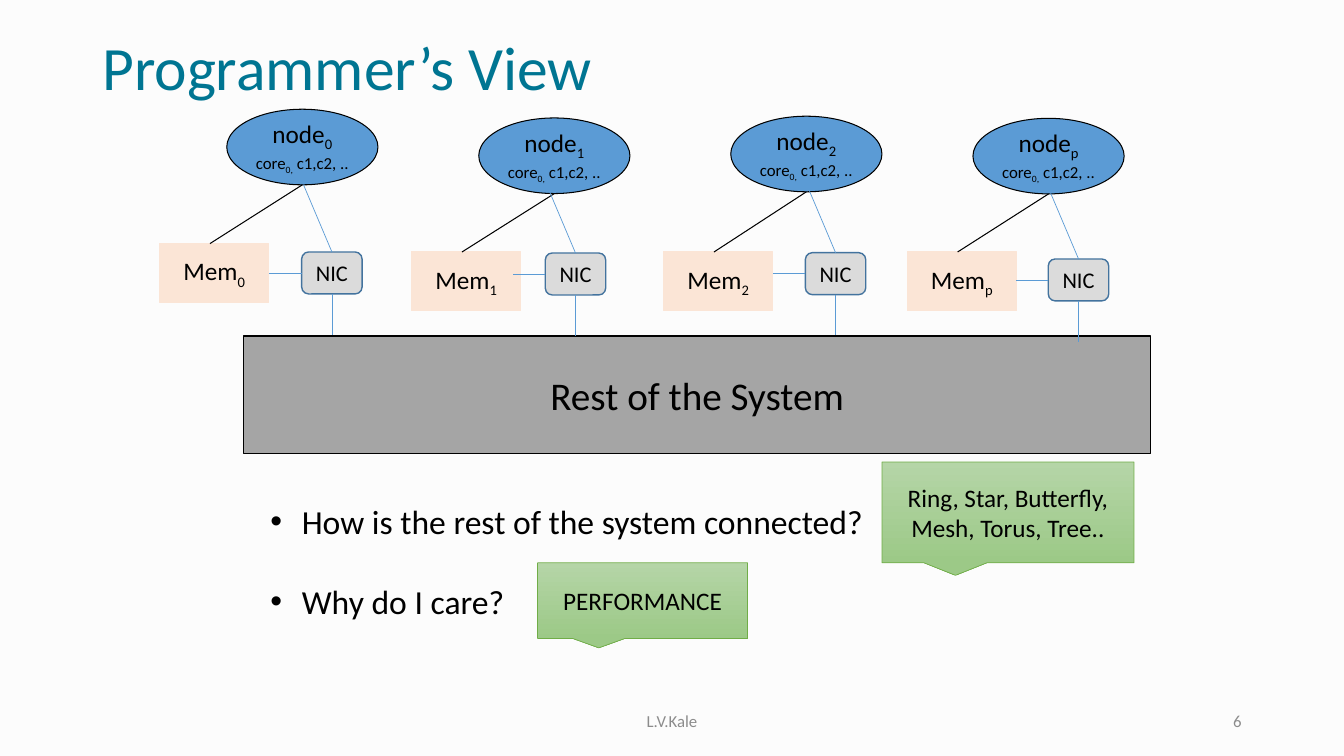
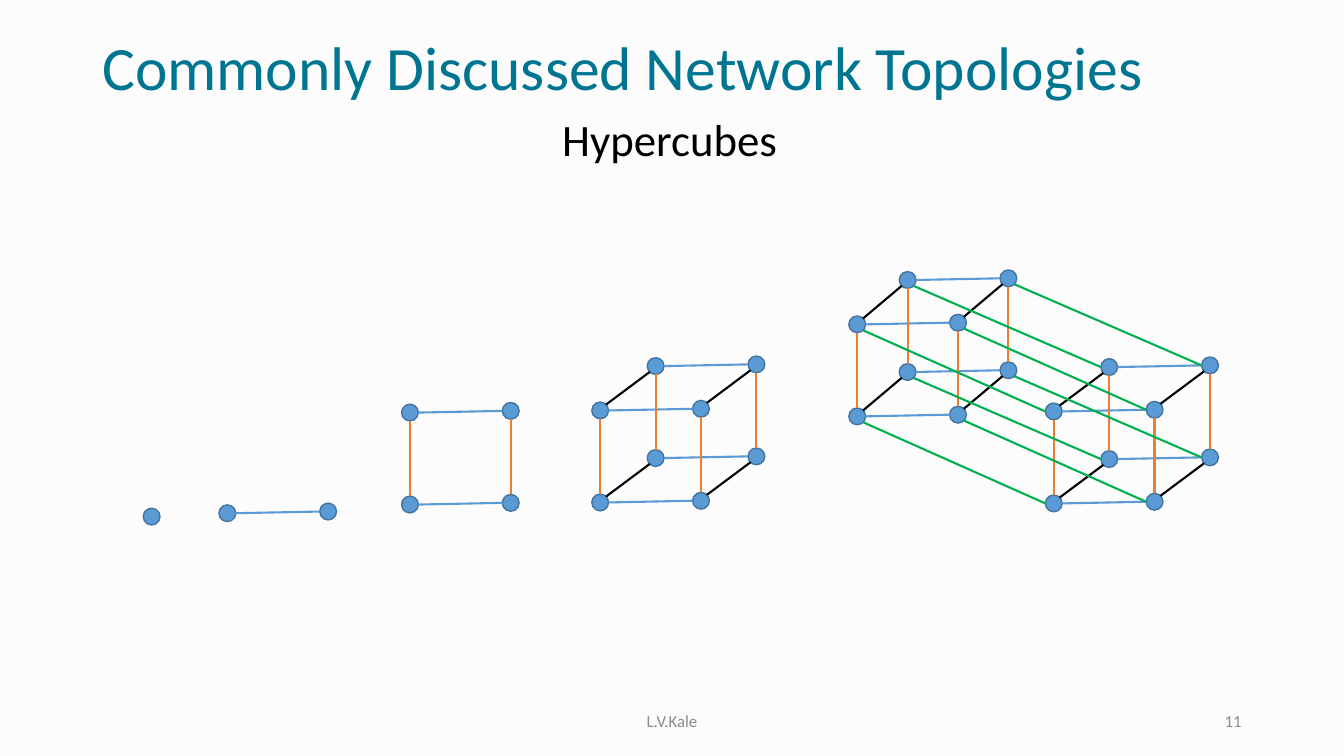
"""Build two lecture slides on the programmer's view and hypercube networks."""
from lxml import etree
from pptx import Presentation
from pptx.dml.color import RGBColor
from pptx.enum import shapes, text
from pptx.oxml import ns
from pptx.util import Pt

FONT = "Calibri"
PAPER = RGBColor(0xFC, 0xFC, 0xFC)
TEAL = RGBColor(0x00, 0x75, 0x92)
GREY = RGBColor(0x8C, 0x8C, 0x8C)
BLACK = RGBColor(0x00, 0x00, 0x00)
BLUE = RGBColor(0x5B, 0x9B, 0xD5)
NAVY = RGBColor(0x43, 0x73, 0x9E)
ORANGE = RGBColor(0xED, 0x7D, 0x31)
GREEN = RGBColor(0x00, 0xB0, 0x50)
PEACH = RGBColor(0xFB, 0xE5, 0xD6)
SILVER = RGBColor(0xDB, 0xDB, 0xDB)
BAND = RGBColor(0xA5, 0xA5, 0xA5)
LEAF = RGBColor(0x70, 0xAD, 0x47)
LEAF_LIGHT = RGBColor(0xB5, 0xD5, 0xA7)
LEAF_DARK = RGBColor(0x9C, 0xC9, 0x87)

KIND = shapes.MSO_SHAPE
LEFT, CENTER, RIGHT = text.PP_ALIGN.LEFT, text.PP_ALIGN.CENTER, text.PP_ALIGN.RIGHT
TOP, MIDDLE = text.MSO_ANCHOR.TOP, text.MSO_ANCHOR.MIDDLE

AUTHOR = "L.V.Kale"
CORES = [("core", False), ("0,", True), (" c1,c2, ..", False)]
NODE_SIZE, MEMORY_SIZE, NIC_SIZE = (108, 54), (78, 42), (43.2, 30)
COLUMNS = [
    ("0", (162, 78), (114, 174), (215.5, 180)),
    ("1", (342, 84.25), (294, 180), (389.5, 180.75)),
    ("2", (522, 83), (474, 180), (575.25, 180.5)),
    ("p", (695, 84.5), (648, 180), (748.8, 185)),
]
QUESTIONS = ["How is the rest of the system connected?", "Why do I care?"]
CALLOUTS = [
    ("Ring, Star, Butterfly, Mesh, Torus, Tree..", (630, 330, 180, 72)),
    ("PERFORMANCE", (384, 402, 150, 54)),
]

RADIUS = 6
DIAGONAL = 0.7 * RADIUS
AXES = [
    (BLUE, (72, -1.2), (RADIUS, 0), (-RADIUS, 0)),
    (ORANGE, (0, -65.7), (0, -RADIUS), (0, RADIUS)),
    (BLACK, (39.6, -31.7), (DIAGONAL, -DIAGONAL), (-DIAGONAL, DIAGONAL)),
]
SMALL_CUBES = [((108.3, 369), 0), ((162.4, 366.6), 1), ((292.8, 360.4), 2), ((428.7, 358.9), 3)]
RIGHT_CUBE, LEFT_CUBE = (752.7, 359.6), (612.3, 297.4)
LEFT_DEPTH = 36


def write(box, lines, size, color=BLACK, align=CENTER, anchor=MIDDLE, wrap=True):
    frame = box.text_frame
    frame.word_wrap = wrap
    frame.vertical_anchor = anchor
    for index, line in enumerate(lines):
        para = frame.paragraphs[0] if index == 0 else frame.add_paragraph()
        para.alignment = align
        para.font.name = FONT
        para.font.size = Pt(12 if line is CORES else size)
        para.font.color.rgb = color
        for words, lowered in [(line, False)] if isinstance(line, str) else line:
            span = para.add_run()
            span.text = words
            if lowered:
                span._r.get_or_add_rPr().set("baseline", "-25000")
    return frame


def add_text(page, place, lines, size, **style):
    return write(page.shapes.add_textbox(*map(Pt, place)), lines, size, **style)


def add_box(page, kind, place, fill, line, width=0.75):
    box = page.shapes.add_shape(kind, *map(Pt, place))
    box.shadow.inherit = False
    if isinstance(fill, RGBColor):
        box.fill.solid()
        box.fill.fore_color.rgb = fill
    else:
        box.fill.gradient()
        box.fill.gradient_angle = 270
        for stop, color in zip(box.fill.gradient_stops, fill):
            stop.color.rgb = color
    box.line.color.rgb = line
    box.line.width = Pt(width)
    return box


def add_line(page, start, end, color, width):
    line = page.shapes.add_connector(shapes.MSO_CONNECTOR.STRAIGHT, *map(Pt, (*start, *end)))
    line.line.color.rgb = color
    line.line.width = Pt(width)
    etree.SubElement(line._element.spPr, ns.qn("a:effectLst"))
    return line


def shift(point, step):
    return point[0] + step[0], point[1] + step[1]


def add_page(deck, title, number):
    page = deck.slides.add_slide(deck.slide_layouts[6])
    frame = add_text(page, (66, 20, 828, 60.5), [title], 44, color=TEAL, align=LEFT)
    frame.paragraphs[0].line_spacing = 0.9
    add_text(page, (318, 500.5, 324, 28.75), [AUTHOR], 12, color=GREY)
    add_text(page, (678, 500.5, 216, 28.75), [number], 12, color=GREY, align=RIGHT)
    return page


def add_column(page, label, node_at, memory_at, nic_at):
    node = add_box(page, KIND.OVAL, (*node_at, *NODE_SIZE), BLUE, BLACK)
    write(node, [[("node", False), (label, True)], CORES], 18, wrap=False)
    memory = add_box(page, KIND.RECTANGLE, (*memory_at, *MEMORY_SIZE), PEACH, PEACH)
    write(memory, [[("Mem", False), (label, True)]], 18, wrap=False)
    node_foot = shift(node_at, (NODE_SIZE[0] / 2, NODE_SIZE[1]))
    add_line(page, node_foot, shift(memory_at, (36, 0)), BLACK, 0.75)

    nic = add_box(page, KIND.ROUNDED_RECTANGLE, (*nic_at, *NIC_SIZE), SILVER, NAVY, 1)
    write(nic, ["NIC"], 16, wrap=False)
    width, height = NIC_SIZE
    links = [(0, (width / 2, 0), (-20.3, -48)), (1, (0, height / 2), (-23, 0)),
             (2, (width / 2, height), (0, 29))]
    for site, corner, reach in links:
        joint = shift(nic_at, corner)
        add_line(page, joint, shift(joint, reach), BLUE, 0.5).begin_connect(nic, site)


def add_programmer_view(deck):
    page = add_page(deck, "Programmer’s View", "6")
    band = add_box(page, KIND.RECTANGLE, (174, 240, 648, 84), BAND, BLACK)
    write(band, ["Rest of the System"], 28, wrap=False)

    frame = add_text(page, (186, 354, 588, 94), QUESTIONS, 24, align=LEFT, anchor=TOP)
    for para in frame.paragraphs:
        properties = para._p.get_or_add_pPr()
        properties.set("marL", str(Pt(22.5)))
        properties.set("indent", str(-Pt(22.5)))
        bullet_font = etree.Element(ns.qn("a:buFont"), typeface="Arial")
        bullet = etree.Element(ns.qn("a:buChar"), char="•")
        properties.find(ns.qn("a:defRPr")).addprevious(bullet_font)
        bullet_font.addnext(bullet)
    frame.paragraphs[1].space_before = Pt(28.8)

    for words, place in CALLOUTS:
        callout = add_box(page, KIND.RECTANGULAR_CALLOUT, place, (LEAF_LIGHT, LEAF_DARK), LEAF, 0.5)
        write(callout, [words], 18)
    for column in COLUMNS:
        add_column(page, *column)


def add_cube(page, origin, dimensions, depth=39.6):
    centers = [origin]
    steps = [step for _, step, _, _ in AXES]
    steps[2] = (depth, steps[2][1])
    for step in steps[:dimensions]:
        centers += [shift(center, step) for center in centers]
    for x, y in centers:
        place = (x - RADIUS, y - RADIUS, 2 * RADIUS, 2 * RADIUS)
        add_box(page, KIND.OVAL, place, BLUE, NAVY, 1)
    for axis, (color, _, leave, arrive) in enumerate(AXES[:dimensions]):
        for index, center in enumerate(centers):
            if not index & 1 << axis:
                neighbour = centers[index | 1 << axis]
                add_line(page, shift(center, leave), shift(neighbour, arrive), color, 1.5)
    return centers


def add_hypercubes(deck):
    page = add_page(deck, "Commonly Discussed Network Topologies", "11")
    add_text(page, (394.5, 76.5, 171.5, 46), ["Hypercubes"], 32, align=LEFT, anchor=TOP)
    for origin, dimensions in SMALL_CUBES:
        add_cube(page, origin, dimensions)
    right = add_cube(page, RIGHT_CUBE, 3)
    left = add_cube(page, LEFT_CUBE, 3, LEFT_DEPTH)
    for start, end in zip(left, right):
        add_line(page, shift(start, (DIAGONAL, DIAGONAL)), shift(end, (-RADIUS, 0)), GREEN, 1.5)


def main():
    deck = Presentation()
    deck.slide_width, deck.slide_height = Pt(960), Pt(540)
    backdrop = deck.slide_master.background.fill
    backdrop.solid()
    backdrop.fore_color.rgb = PAPER
    add_programmer_view(deck)
    add_hypercubes(deck)
    deck.save("out.pptx")


if __name__ == "__main__":
    main()
